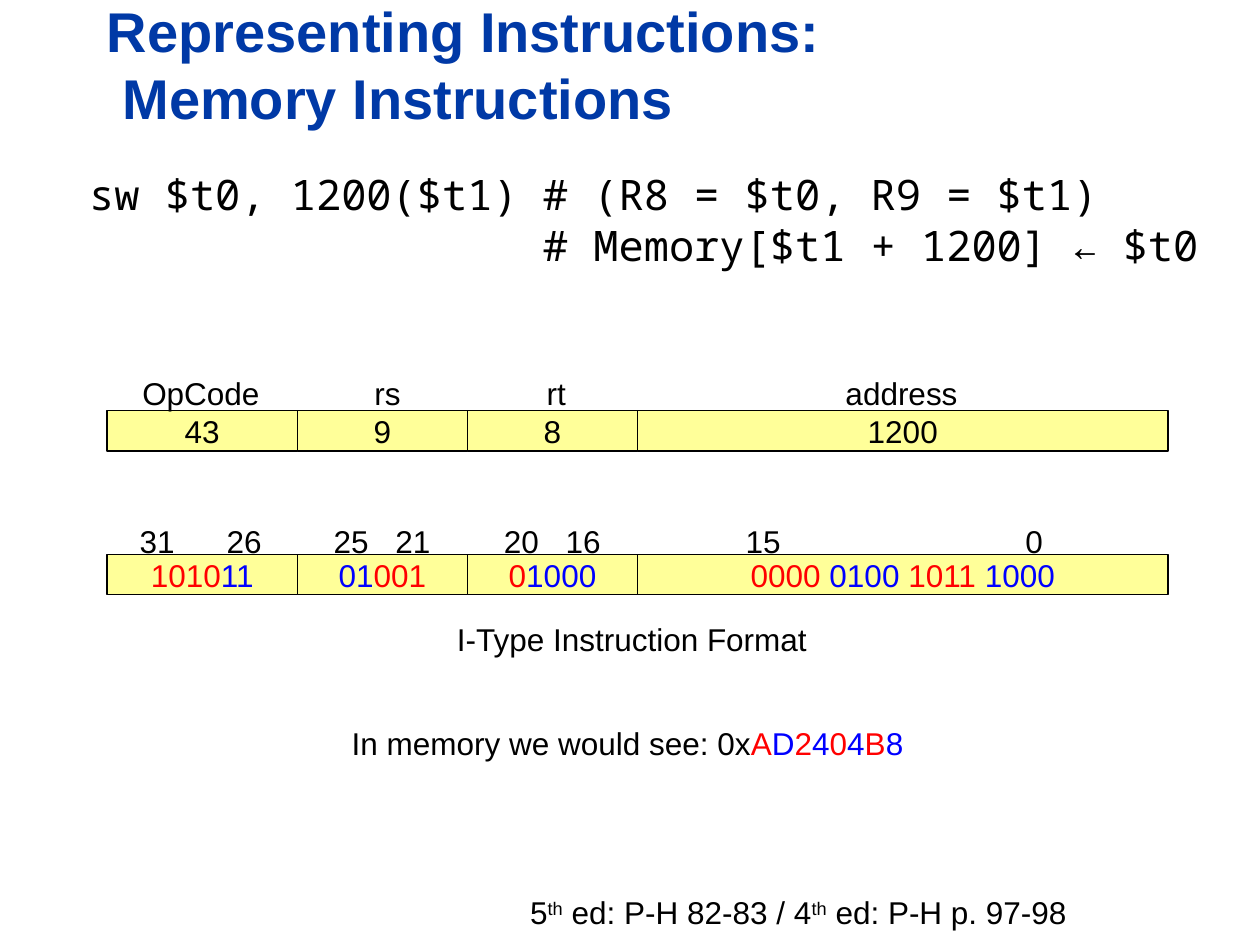
from dataclasses import dataclass
from itertools import accumulate, cycle

from lxml.etree import SubElement
from pptx import Presentation
from pptx.dml.color import RGBColor
from pptx.enum.shapes import MSO_SHAPE
from pptx.enum.text import MSO_ANCHOR, PP_ALIGN
from pptx.oxml.ns import qn
from pptx.util import Inches, Pt


@dataclass(frozen=True)
class Theme:
    ink: str = "000000"
    title: str = "0039A6"
    red: str = "FF0000"
    blue: str = "0000FF"
    cell: str = "FFFF99"
    font: str = "Arial"
    mono: str = "Noto Sans Mono"
    title_size: int = 32
    code_size: int = 24
    body_size: int = 18


THEME = Theme()


def write(p, text, *, size=THEME.body_size, color=THEME.ink,
          font=THEME.font, bold=False, raised=False):
    for i, line in enumerate(text.split("\n")):
        if i:
            p.add_line_break()
        r = p.add_run()
        r.text = line
        r.font.size = Pt(size)
        r.font.name = font
        r.font.bold = bold
        r.font.color.rgb = RGBColor.from_string(color)
        if raised:
            r.font._element.set("baseline", "30000")


class Deck:
    def __init__(self, theme):
        self.theme = theme
        self.prs = Presentation()
        self.prs.slide_width = Inches(10)
        self.prs.slide_height = Inches(7.5)
        self.s = self.prs.slides.add_slide(self.prs.slide_layouts[6])

    def frame(self, sp, anchor, wrap):
        tf = sp.text_frame
        tf.word_wrap = wrap
        tf.vertical_anchor = anchor
        return tf

    def text(self, x, y, w, h, paragraphs, *, align=PP_ALIGN.LEFT,
             anchor=MSO_ANCHOR.MIDDLE, wrap=False, tab=None, **style):
        sp = self.s.shapes.add_textbox(Inches(x), Inches(y), Inches(w), Inches(h))
        tf = self.frame(sp, anchor, wrap)
        for i, runs in enumerate(paragraphs):
            p = tf.add_paragraph() if i else tf.paragraphs[0]
            p.alignment = align
            if tab:
                tabs = SubElement(p._p.get_or_add_pPr(), qn("a:tabLst"))
                SubElement(tabs, qn("a:tab"), pos=str(Inches(tab)), algn="l")
            for text, fmt in runs:
                write(p, text, **{**style, **fmt})

    def label(self, x, y, w, runs, **kwargs):
        self.text(x, y, w, 0.4, [runs], **kwargs)

    def cell(self, x, y, w, runs):
        sp = self.s.shapes.add_shape(
            MSO_SHAPE.RECTANGLE, Inches(x), Inches(y), Inches(w), Inches(0.32))
        sp.shadow.inherit = False
        sp.fill.solid()
        sp.fill.fore_color.rgb = RGBColor.from_string(self.theme.cell)
        sp.line.color.rgb = RGBColor.from_string(self.theme.ink)
        sp.line.width = Pt(0.75)
        p = self.frame(sp, MSO_ANCHOR.MIDDLE, False).paragraphs[0]
        p.alignment = PP_ALIGN.CENTER
        for text, fmt in runs:
            write(p, text, **fmt)

    def row(self, y, widths, cells):
        for x, w, runs in zip(accumulate(widths, initial=0.85), widths, cells):
            self.cell(x, y, w, runs)


def plain(text):
    return [(text, {})]


def alternate(parts, first, second):
    return [(t, {"color": c}) for t, c in zip(parts, cycle((first, second)))]


def main():
    t = THEME
    deck = Deck(t)

    deck.text(0.75, -0.08, 9.03, 1.17,
              [plain("Representing Instructions:\n Memory Instructions")],
              anchor=MSO_ANCHOR.BOTTOM, wrap=True,
              size=t.title_size, color=t.title, bold=True)
    deck.text(0.61, 1.36, 9.3, 0.76,
              [plain("sw $t0, 1200($t1) # (R8 = $t0, R9 = $t1)"),
               plain("                  # Memory[$t1 + 1200] ← $t0")],
              wrap=True, size=t.code_size, font=t.mono)

    widths = [1.51, 1.35, 1.35, 4.21]
    deck.row(3.26, widths, [plain(v) for v in ("43", "9", "8", "1200")])
    for name, x, w in (("OpCode", 1.03, 1.13), ("rs", 2.87, 0.41),
                       ("rt", 4.24, 0.35), ("address", 6.61, 1.09)):
        deck.label(x, 2.92, w, plain(name), align=PP_ALIGN.CENTER)

    deck.row(4.4, widths, [
        alternate(["1010", "11"], t.red, t.blue),
        alternate(["01", "001"], t.blue, t.red),
        alternate(["0", "1000"], t.red, t.blue),
        alternate(["0000 ", "0100 ", "1011 ", "1000"], t.red, t.blue),
    ])
    for bits, x, w, tab in (("31\t26", 1.01, 1.3, 0.69),
                            ("25\t21", 2.55, 1.15, 0.49),
                            ("20\t16", 3.9, 1.15, 0.49),
                            ("15\t0", 5.82, 2.7, 2.22)):
        deck.label(x, 4.09, w, plain(bits), wrap=True, tab=tab)

    deck.label(3.52, 4.87, 2.99, plain("I-Type Instruction Format"),
               align=PP_ALIGN.CENTER)
    deck.label(2.69, 5.7, 4.58,
               plain("In memory we would see: 0x")
               + alternate("AD2404B8", t.red, t.blue),
               align=PP_ALIGN.CENTER)
    th = ("th", {"raised": True})
    deck.label(4.11, 7.04, 4.46,
               [("5", {}), th, (" ed: P-H 82-83 / 4", {}), th,
                (" ed: P-H p. 97-98", {})],
               anchor=MSO_ANCHOR.TOP)

    deck.prs.save("out.pptx")


if __name__ == "__main__":
    main()
